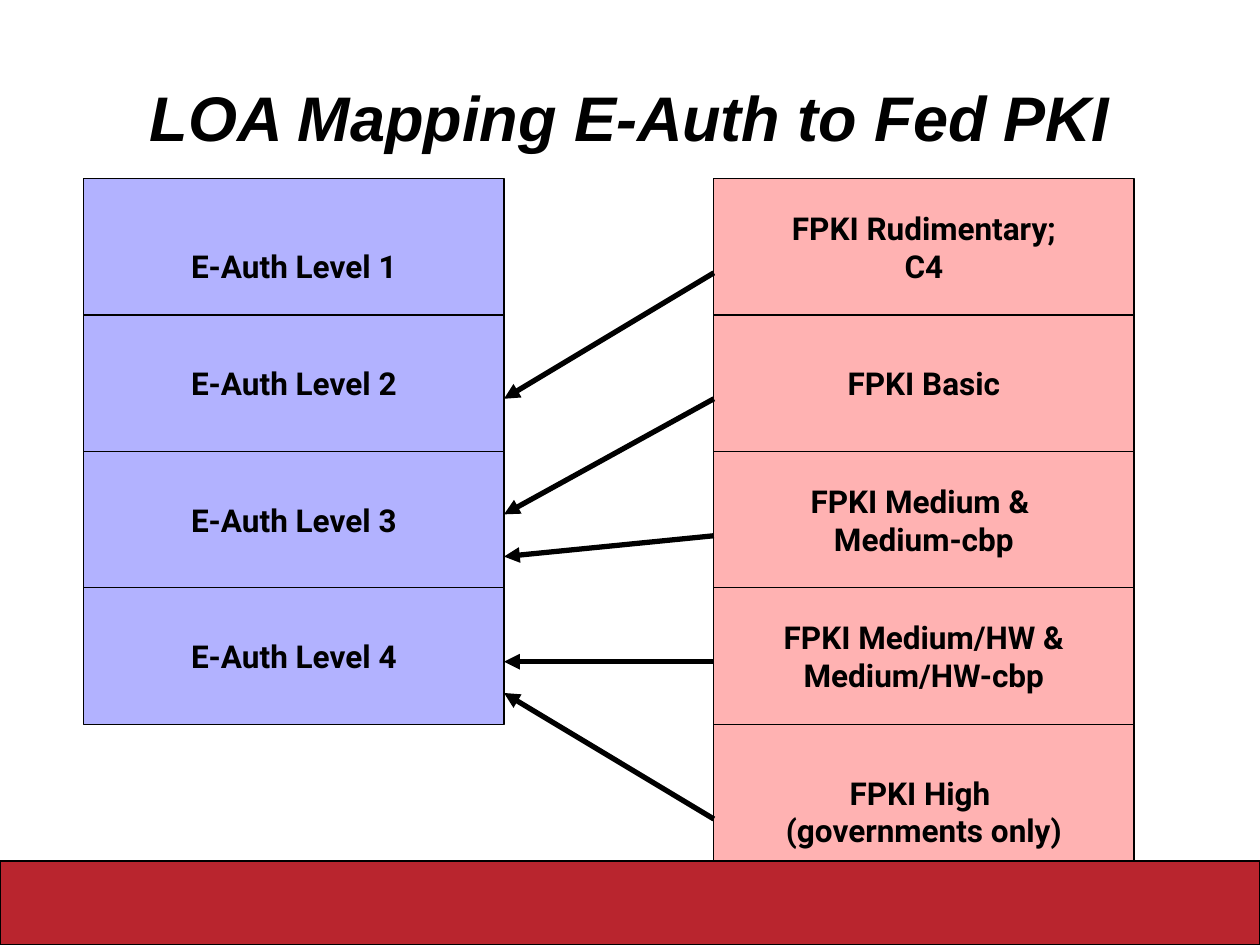
from dataclasses import dataclass

from lxml import etree
from pptx import Presentation
from pptx import util as u
from pptx.dml.color import RGBColor
from pptx.enum import shapes, text
from pptx.oxml.ns import qn

BLACK, BLUE, RED, BAR_RED = "000000", "0000FF", "FF0000", "B9252E"
BOX_WIDTH, BOX_HEIGHT, STACK_TOP = 8.47, 2.75, 3.6
EAUTH_LEFT, FPKI_LEFT = 1.69, 14.39
EXTRA_LINE = 0.76


@dataclass
class Level:
    label: str
    lowered: bool = False


@dataclass
class Mapping:
    fpki_y: float
    eauth_y: float


EAUTH_LEVELS = [Level("E-Auth Level 1", lowered=True)] + [
    Level(f"E-Auth Level {number}") for number in (2, 3, 4)
]
FPKI_LEVELS = [
    Level("FPKI Rudimentary;\nC4"),
    Level("FPKI Basic"),
    Level("FPKI Medium & \nMedium-cbp"),
    Level("FPKI Medium/HW &\nMedium/HW-cbp"),
    Level("FPKI High \n(governments only)", lowered=True),
]
MAPPINGS = [
    Mapping(5.5, 8.04),
    Mapping(8.04, 10.37),
    Mapping(10.8, 11.22),
    Mapping(13.34, 13.34),
    Mapping(16.51, 13.97),
]


def color(value: str) -> RGBColor:
    return RGBColor.from_string(value)


def format_text(frame, font: str, size: float, italic: bool = False) -> None:
    frame.vertical_anchor = text.MSO_ANCHOR.MIDDLE
    for para in frame.paragraphs:
        para.alignment = text.PP_ALIGN.CENTER
        for span in para.runs:
            span.font.name = font
            span.font.size = u.Pt(size)
            span.font.bold = True
            span.font.italic = italic
            span.font.color.rgb = color(BLACK)


def add_box(slide, left: float, top: float, width: float, height: float, fill: str):
    box = slide.shapes.add_shape(
        shapes.MSO_SHAPE.RECTANGLE, u.Cm(left), u.Cm(top), u.Cm(width), u.Cm(height)
    )
    box.shadow.inherit = False
    box.fill.solid()
    box.fill.fore_color.rgb = color(fill)
    box.line.color.rgb = color(BLACK)
    box.line.width = u.Pt(0.75)
    return box


def make_translucent(box, percent: int) -> None:
    fill_color = box._element.spPr.find(qn("a:solidFill"))[0]
    etree.SubElement(fill_color, qn("a:alpha"), val=str(percent * 1000))


def add_stack(slide, levels: list[Level], left: float, fill: str) -> None:
    for row, level in enumerate(levels):
        top = STACK_TOP + row * BOX_HEIGHT
        box = add_box(slide, left, top, BOX_WIDTH, BOX_HEIGHT, fill)
        make_translucent(box, 30)
        frame = box.text_frame
        frame.word_wrap = False
        frame.text = level.label
        if level.lowered:
            frame.margin_top += u.Cm(EXTRA_LINE)
        format_text(frame, "Roboto", 18)


def add_arrow(slide, mapping: Mapping) -> None:
    arrow = slide.shapes.add_connector(
        shapes.MSO_CONNECTOR.STRAIGHT,
        u.Cm(FPKI_LEFT), u.Cm(mapping.fpki_y),
        u.Cm(EAUTH_LEFT + BOX_WIDTH), u.Cm(mapping.eauth_y),
    )
    arrow.line.color.rgb = color(BLACK)
    arrow.line.width = u.Pt(3)
    etree.SubElement(arrow.line._get_or_add_ln(), qn("a:tailEnd"), type="triangle")
    etree.SubElement(arrow._element.spPr, qn("a:effectLst"))


def add_title(slide, wording: str) -> None:
    title = slide.shapes.title
    title.left, title.top = u.Cm(1.27), u.Cm(0.76)
    title.width, title.height = u.Cm(22.86), u.Cm(3.18)
    title.text_frame.text = wording
    title.text_frame.auto_size = text.MSO_AUTO_SIZE.NONE
    format_text(title.text_frame, "Arial", 36, italic=True)


def main() -> None:
    deck = Presentation()
    deck.slide_width, deck.slide_height = u.Cm(25.4), u.Cm(19.05)
    slide = deck.slides.add_slide(deck.slide_layouts[5])
    add_box(slide, 0, 17.36, 25.4, 1.69, BAR_RED)
    add_title(slide, "LOA Mapping E-Auth to Fed PKI")
    add_stack(slide, EAUTH_LEVELS, EAUTH_LEFT, BLUE)
    add_stack(slide, FPKI_LEVELS, FPKI_LEFT, RED)
    for mapping in MAPPINGS:
        add_arrow(slide, mapping)
    deck.save("out.pptx")


if __name__ == "__main__":
    main()
